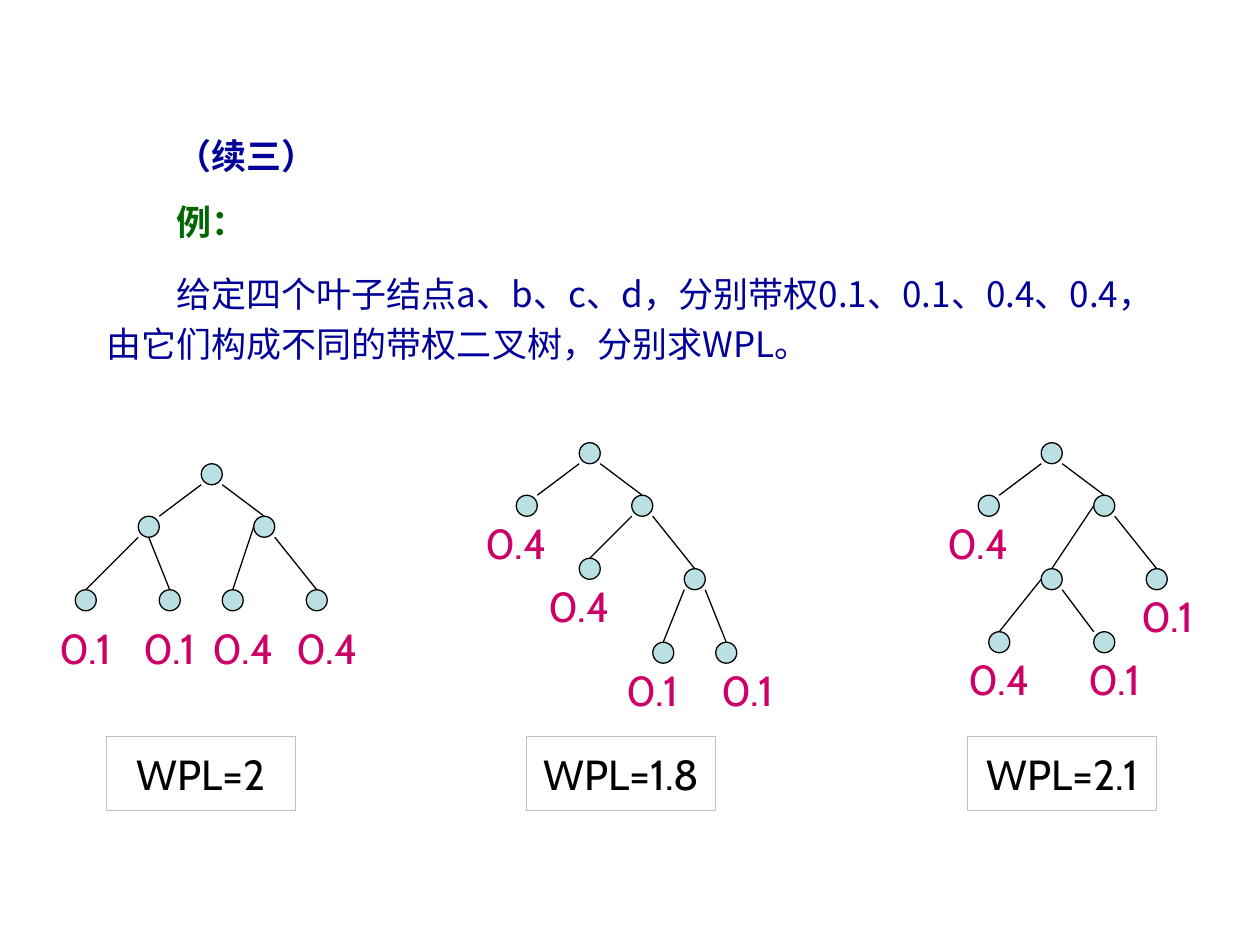
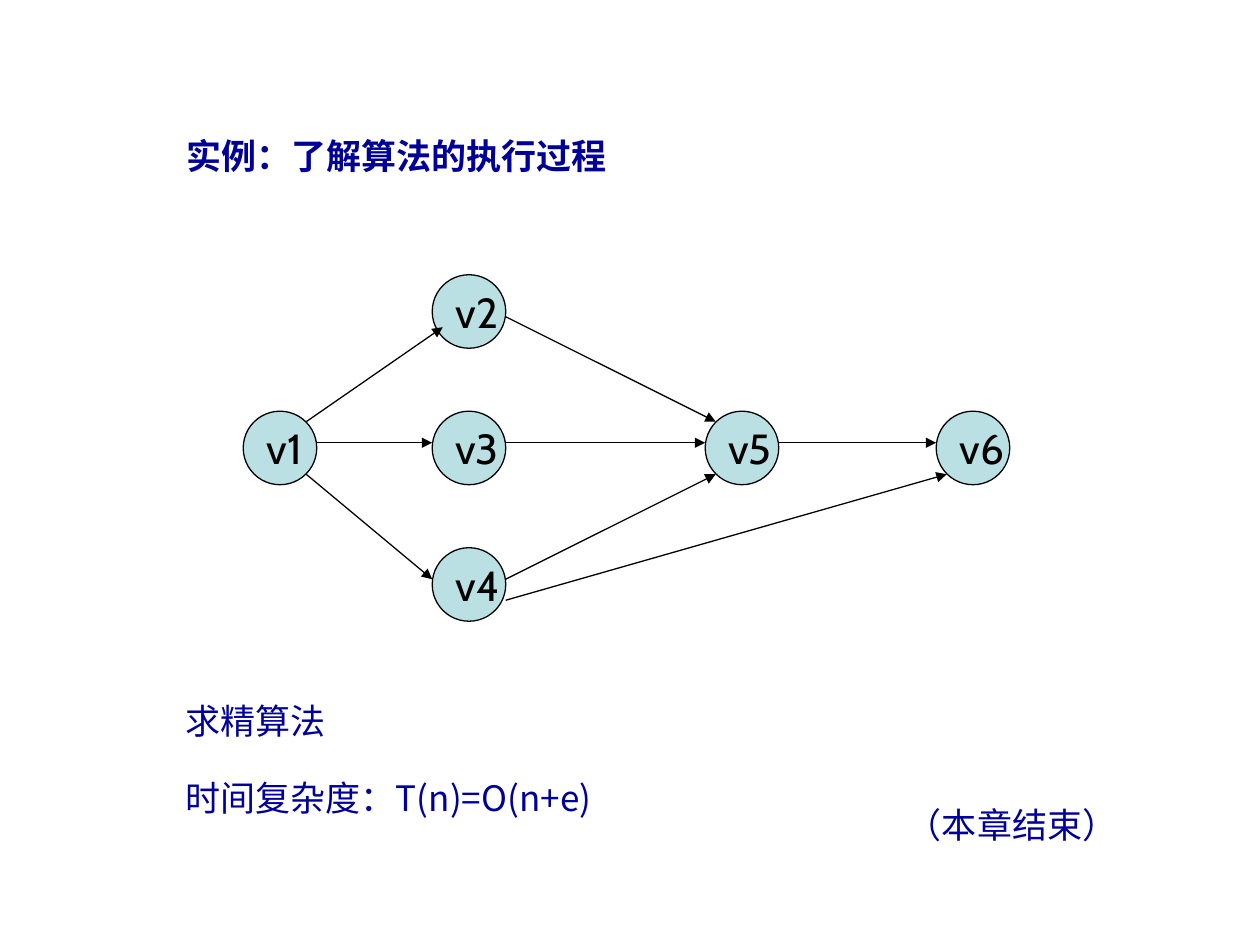
from dataclasses import dataclass
from typing import Optional

import lxml.etree
import pptx
import pptx.dml.color
import pptx.enum.shapes
import pptx.enum.text
import pptx.oxml.ns
import pptx.util

Pt = pptx.util.Pt
qn = pptx.oxml.ns.qn
Align = pptx.enum.text.PP_ALIGN
Anchor = pptx.enum.text.MSO_ANCHOR
Shape = pptx.enum.shapes.MSO_SHAPE
Offset = tuple[int, int]

NAVY, GREEN, MAGENTA = "000099", "006600", "CC0066"
BLACK, SILVER, PALE_TEAL = "000000", "C0C0C0", "BBE0E3"
HAN, LATIN = "Noto Sans CJK SC", "Cabin"

GRID = 6  # points in one drawing unit
LEFT, TOP = 1, 1  # grid origin in points
TREE_NODE, VERTEX = 2, 7  # diameters in units
LINE_WIDTH = 0.75


@dataclass
class TreeNode:
    """Node placed relative to the root, with its edge from the parent.

    leave and arrive are the edge's ends within the parent's and the
    node's own box. A leaf has a weight, shifted sideways by shift.
    """
    x: int
    y: int
    parent: Optional[int] = None
    leave: Offset = (2, 2)
    arrive: Offset = (1, 0)
    weight: str = ""
    shift: int = 0


@dataclass
class Tree:
    x: int
    y: int
    label_drop: int
    result_x: int
    result: str
    nodes: list[TreeNode]


@dataclass
class Edge:
    start: str
    end: str
    leave: Offset = (7, 3)
    arrive: Offset = (0, 3)


TREES = [
    Tree(19, 44, 4, 10, "WPL=2", [
        TreeNode(0, 0),
        TreeNode(-6, 5, 0, (0, 2), (2, 0)),
        TreeNode(5, 5, 0),
        TreeNode(-12, 12, 1, (0, 2), weight="0.1", shift=-2),
        TreeNode(-4, 12, 1, (1, 2), weight="0.1", shift=-2),
        TreeNode(2, 12, 2, (0, 1), weight="0.4", shift=-1),
        TreeNode(10, 12, 2, weight="0.4", shift=-1),
    ]),
    Tree(55, 42, 3, 50, "WPL=1.8", [
        TreeNode(0, 0),
        TreeNode(-6, 5, 0, (0, 2), (2, 0), "0.4", -3),
        TreeNode(5, 5, 0),
        TreeNode(0, 11, 2, (0, 2), weight="0.4", shift=-3),
        TreeNode(10, 12, 2),
        TreeNode(7, 19, 4, (0, 2), weight="0.1", shift=-3),
        TreeNode(13, 19, 4, weight="0.1"),
    ]),
    Tree(99, 42, 3, 92, "WPL=2.1", [
        TreeNode(0, 0),
        TreeNode(-6, 5, 0, (0, 2), (2, 0), "0.4", -3),
        TreeNode(5, 5, 0),
        TreeNode(0, 12, 2, (0, 1)),
        TreeNode(10, 12, 2, weight="0.1", shift=-1),
        TreeNode(-5, 18, 3, (0, 1), weight="0.4", shift=-2),
        TreeNode(5, 18, 3, arrive=(0, 0), weight="0.1", shift=-1),
    ]),
]

VERTICES: dict[str, Offset] = {
    "v1": (23, 39), "v2": (41, 26), "v3": (41, 39),
    "v4": (41, 52), "v5": (67, 39), "v6": (89, 39),
}
EDGES = [
    Edge("v1", "v2", (6, 1), (1, 5)),
    Edge("v1", "v4", (6, 6)),
    Edge("v1", "v3"),
    Edge("v3", "v5"),
    Edge("v5", "v6"),
    Edge("v4", "v5", arrive=(1, 6)),
    Edge("v4", "v6", (7, 5), (1, 6)),
    Edge("v2", "v5", (7, 4), (1, 1)),
]


def rgb(value: str) -> pptx.dml.color.RGBColor:
    return pptx.dml.color.RGBColor.from_string(value)


def grid_point(x: int, y: int) -> tuple[int, int]:
    return Pt(LEFT + GRID * x), Pt(TOP + GRID * y)


def style(paragraph, color: str, size: int = 20, face: str = HAN, bold: bool = False) -> None:
    font = paragraph.font
    font.name, font.size, font.bold = face, Pt(size), bold
    font.color.rgb = rgb(color)
    defaults = paragraph._p.pPr.find(qn("a:defRPr"))
    lxml.etree.SubElement(defaults, qn("a:ea")).set("typeface", face)


def place(shape, left: float, top: float, width: float, height: float) -> None:
    shape.left, shape.top = Pt(left), Pt(top)
    shape.width, shape.height = Pt(width), Pt(height)


def add_titled_slide(deck, title: str, left: float, width: float):
    slide = deck.slides.add_slide(deck.slide_layouts[1])
    heading = slide.shapes.title
    place(heading, left, 66, width, 38)
    heading.text_frame.text = title
    heading.text_frame.vertical_anchor = Anchor.MIDDLE
    heading.text_frame.auto_size = pptx.enum.text.MSO_AUTO_SIZE.NONE
    paragraph = heading.text_frame.paragraphs[0]
    paragraph.alignment = Align.LEFT
    paragraph.line_spacing = 1.3
    style(paragraph, NAVY, bold=True)
    return slide


def fill_body(slide, box: tuple, lines: list[str], spacing: float,
              margin: float, indent: float) -> list:
    """Place the body, write its lines without bullets and return the paragraphs."""
    body = slide.placeholders[1]
    place(body, *box)
    frame = body.text_frame
    frame.text = "\n".join(lines)
    frame.auto_size = pptx.enum.text.MSO_AUTO_SIZE.NONE
    for index, paragraph in enumerate(frame.paragraphs):
        paragraph.line_spacing = spacing
        paragraph.space_before = Pt(12.5 if index else 0)
        properties = paragraph._p.get_or_add_pPr()
        properties.set("marL", str(Pt(margin)))
        properties.set("indent", str(Pt(indent)))
        lxml.etree.SubElement(properties, qn("a:buNone"))
    return list(frame.paragraphs)


def write_label(shape, text: str, color: str, align=Align.CENTER) -> None:
    frame = shape.text_frame
    frame.text = text
    frame.word_wrap = False
    frame.vertical_anchor = Anchor.MIDDLE
    frame.paragraphs[0].alignment = align
    style(frame.paragraphs[0], color, 24, LATIN)


def add_weight(slide, corner: Offset, text: str) -> None:
    weight = slide.shapes.add_textbox(*grid_point(*corner), Pt(36), Pt(18))
    write_label(weight, text, MAGENTA)
    weight.text_frame.margin_left = weight.text_frame.margin_right = Pt(0)


def add_outline(slide, kind, x: int, y: int, width: int, height: int,
                line: str, fill: Optional[str] = None):
    shape = slide.shapes.add_shape(
        kind, *grid_point(x, y), Pt(GRID * width), Pt(GRID * height))
    shape.shadow.inherit = False
    if fill:
        shape.fill.solid()
        shape.fill.fore_color.rgb = rgb(fill)
    else:
        shape.fill.background()
    shape.line.color.rgb = rgb(line)
    shape.line.width = Pt(LINE_WIDTH)
    return shape


def add_circle(slide, x: int, y: int, diameter: int):
    return add_outline(slide, Shape.OVAL, x, y, diameter, diameter, BLACK, PALE_TEAL)


def add_edge(slide, start: Offset, end: Offset, arrow: bool = False) -> None:
    edge = slide.shapes.add_connector(
        pptx.enum.shapes.MSO_CONNECTOR.STRAIGHT, *grid_point(*start), *grid_point(*end))
    edge.line.color.rgb = rgb(BLACK)
    edge.line.width = Pt(LINE_WIDTH)
    if arrow:
        lxml.etree.SubElement(edge.line._get_or_add_ln(), qn("a:tailEnd")).set("type", "triangle")
    lxml.etree.SubElement(edge._element.spPr, qn("a:effectLst"))


def shifted(point: Offset, by: Offset) -> Offset:
    return point[0] + by[0], point[1] + by[1]


def draw_tree(slide, tree: Tree) -> None:
    spots = [shifted((tree.x, tree.y), (node.x, node.y)) for node in tree.nodes]
    for spot in spots:
        add_circle(slide, *spot, TREE_NODE)
    for node, spot in zip(tree.nodes, spots):
        if node.parent is not None:
            add_edge(slide, shifted(spots[node.parent], node.leave), shifted(spot, node.arrive))
        if node.weight:
            add_weight(slide, shifted(spot, (node.shift, tree.label_drop)), node.weight)
    result = add_outline(slide, Shape.RECTANGLE, tree.result_x, 70, 18, 7, SILVER)
    write_label(result, tree.result, BLACK)


def build_tree_slide(deck) -> None:
    slide = add_titled_slide(deck, "（续三）", 93.6, 427)
    example, task = fill_body(slide, (53.6, 106, 620, 113), [
        "例：",
        "给定四个叶子结点a、b、c、d，分别带权0.1、0.1、0.4、0.4，"
        "由它们构成不同的带权二叉树，分别求WPL。",
    ], 1.2, 0, 40)
    style(example, GREEN, bold=True)
    style(task, NAVY)
    for tree in TREES:
        draw_tree(slide, tree)


def build_graph_slide(deck) -> None:
    slide = add_titled_slide(deck, "实例：了解算法的执行过程", 99.2, 364)
    for paragraph in fill_body(slide, (98.8, 389, 438.5, 82),
                               ["求精算法", "时间复杂度：T(n)=O(n+e)"], 1.3, 27, -27):
        style(paragraph, NAVY)
    for name, spot in VERTICES.items():
        write_label(add_circle(slide, *spot, VERTEX), name, BLACK, Align.LEFT)
    for edge in EDGES:
        add_edge(slide, shifted(VERTICES[edge.start], edge.leave),
                 shifted(VERTICES[edge.end], edge.arrive), arrow=True)
    ending = slide.shapes.add_textbox(Pt(511.2), Pt(455.5), Pt(134.6), Pt(31.5))
    ending.text_frame.text = "（本章结束）"
    ending.text_frame.word_wrap = False
    style(ending.text_frame.paragraphs[0], NAVY)


def main() -> None:
    deck = pptx.Presentation()
    deck.slide_width, deck.slide_height = Pt(720), Pt(540)
    build_tree_slide(deck)
    build_graph_slide(deck)
    deck.save("out.pptx")


if __name__ == "__main__":
    main()
